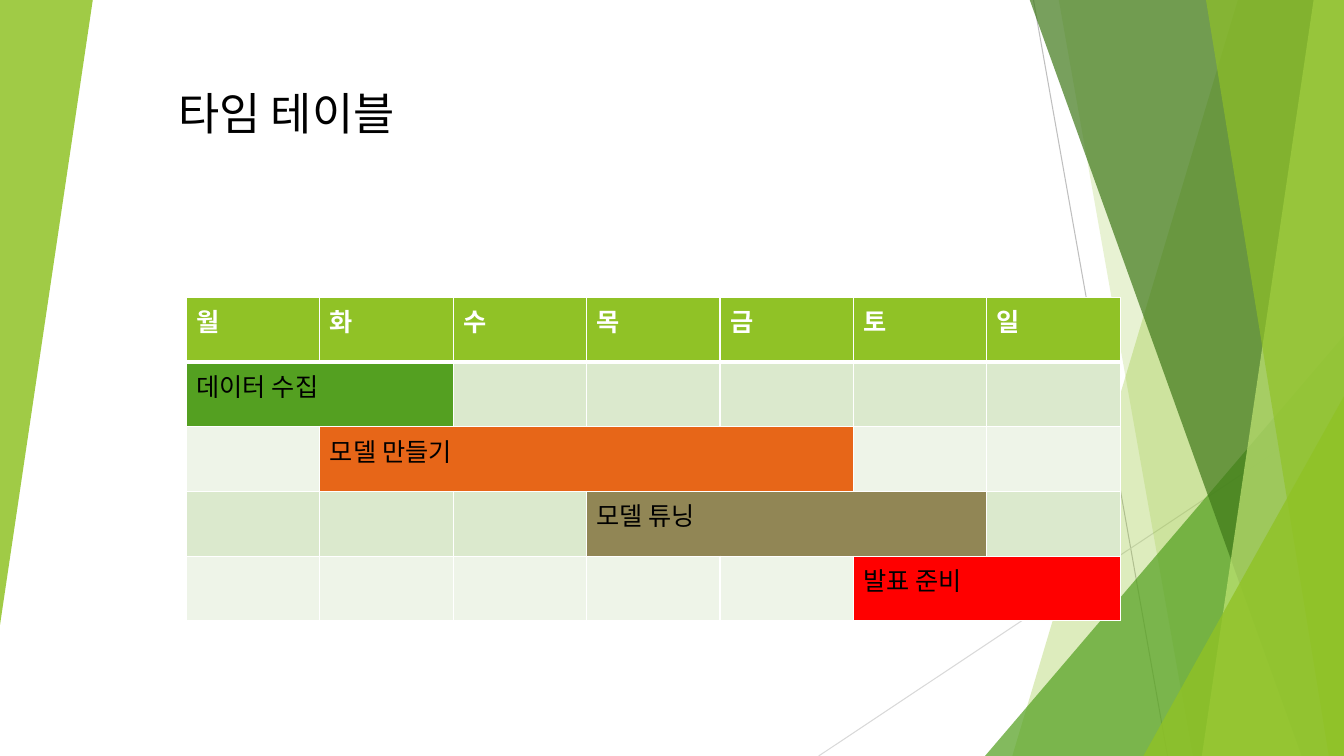
from dataclasses import dataclass

from lxml.etree import SubElement
from pptx import Presentation
from pptx.dml.color import RGBColor
from pptx.enum.shapes import MSO_CONNECTOR, MSO_SHAPE
from pptx.enum.text import MSO_ANCHOR, PP_ALIGN
from pptx.oxml.ns import qn
from pptx.util import Inches, Pt


@dataclass(frozen=True)
class Theme:
    lime: str = "90C226"
    pale_lime: str = "C0E474"
    green: str = "54A021"
    dark_green: str = "3F7819"
    orange: str = "E76618"
    olive: str = "918655"
    red: str = "FF0000"
    odd_row: str = "DBE9CD"
    even_row: str = "EEF4E8"
    steep_line: str = "BFBFBF"
    flat_line: str = "D9D9D9"
    black: str = "000000"
    white: str = "FFFFFF"
    title_font: str = "Arial"
    table_font: str = "Roboto"
    title_size: int = 32
    table_size: int = 18


THEME = Theme()
WIDTH, HEIGHT = 13.33, 7.5

TITLE = "타임 테이블"
DAYS = ["월", "화", "수", "목", "금", "토", "일"]
# task, first day, last day, colour
TASKS = [
    ("데이터 수집", "월", "화", THEME.green),
    ("모델 만들기", "화", "금", THEME.orange),
    ("모델 튜닝", "목", "토", THEME.olive),
    ("발표 준비", "토", "일", THEME.red),
]

# start, end, colour
LINES = [
    ((10.25, 0), (11.58, HEIGHT), THEME.steep_line),
    ((WIDTH, 4.03), (8.12, HEIGHT), THEME.flat_line),
]
# Back to front. Band: top-left x, bottom-left x; wedge: left, top, width, height, rotation
DECOR = [
    ("band", (12.28, 10.04), THEME.lime, 30),
    ("band", (10.5, 11.83), THEME.lime, 20),
    ("wedge", (9.77, 3.33, 3.56, 4.17, 0), THEME.green, 72),
    ("band", (10.21, 12.91), THEME.dark_green, 70),
    ("band", (13.03, 11.92), THEME.pale_lime, 70),
    ("band", (11.96, 13.18), THEME.lime, 65),
    ("wedge", (11.34, 3.93, 1.99, 3.57, 0), THEME.lime, 80),
    ("wedge", (0, 0, 0.92, 6.2, 180), THEME.lime, 85),
]

TABLE_BOX = (1.85, 2.95, 9.26, 3.21)


def rgb(color):
    return RGBColor.from_string(color)


def add_line(slide, start, end, color):
    line = slide.shapes.add_connector(
        MSO_CONNECTOR.STRAIGHT, *map(Inches, start + end))
    line.line.color.rgb = rgb(color)
    line.line.width = Pt(0.75)
    SubElement(line._element.spPr, qn("a:effectLst"))


def add_band(slide, top_x, bottom_x):
    """Add a full-height band from a slanted left edge to the slide's right edge."""
    corners = [(WIDTH, -0.01), (WIDTH, HEIGHT), (bottom_x, HEIGHT)]
    builder = slide.shapes.build_freeform(Inches(top_x), Inches(-0.01))
    builder.add_line_segments([(Inches(x), Inches(y)) for x, y in corners])
    return builder.convert_to_shape()


def add_wedge(slide, left, top, width, height, rotation):
    wedge = slide.shapes.add_shape(
        MSO_SHAPE.ISOSCELES_TRIANGLE, *map(Inches, (left, top, width, height)))
    wedge.adjustments[0] = 1
    wedge.rotation = rotation
    return wedge


def paint(shape, color, opacity):
    shape.shadow.inherit = False
    shape.line.fill.background()
    shape.fill.solid()
    shape.fill.fore_color.rgb = rgb(color)
    solid = shape._element.spPr.find(qn("a:solidFill"))
    SubElement(solid[0], qn("a:alpha"), val=str(opacity * 1000))


def write(paragraph, text, font, size, color, bold=False):
    run = paragraph.add_run()
    run.text = text
    run.font.name = font
    run.font.size = Pt(size)
    run.font.bold = bold
    run.font.color.rgb = rgb(color)


def add_title(slide):
    title = slide.shapes.title
    title.left, title.top, title.width, title.height = map(
        Inches, (1.67, 0.8, 10, 1.81))
    title.text_frame.vertical_anchor = MSO_ANCHOR.TOP
    paragraph = title.text_frame.paragraphs[0]
    paragraph.alignment = PP_ALIGN.LEFT
    write(paragraph, TITLE, THEME.title_font, THEME.title_size, THEME.black)


def style_cell(cell, color, top=1, bottom=1):
    """Fill a cell and give it white borders; top and bottom are widths in points."""
    properties = cell._tc.get_or_add_tcPr()
    for side, width in (("L", 1), ("R", 1), ("T", top), ("B", bottom)):
        border = SubElement(properties, qn(f"a:ln{side}"), w=str(Pt(width)))
        solid = SubElement(border, qn("a:solidFill"))
        SubElement(solid, qn("a:srgbClr"), val=THEME.white)
    cell.fill.solid()
    cell.fill.fore_color.rgb = rgb(color)


def add_timetable(slide):
    table = slide.shapes.add_table(
        len(TASKS) + 1, len(DAYS), *map(Inches, TABLE_BOX)).table

    for column, day in enumerate(DAYS):
        header = table.cell(0, column)
        style_cell(header, THEME.lime, bottom=3)
        write(header.text_frame.paragraphs[0], day, THEME.table_font,
              THEME.table_size, THEME.white, bold=True)

    for row, (task, first_day, last_day, color) in enumerate(TASKS, start=1):
        first, last = DAYS.index(first_day), DAYS.index(last_day)
        row_color = THEME.odd_row if row % 2 else THEME.even_row
        for column in range(len(DAYS)):
            style_cell(table.cell(row, column),
                       color if first <= column <= last else row_color,
                       top=3 if row == 1 else 1)
        bar = table.cell(row, first)
        bar.merge(table.cell(row, last))
        write(bar.text_frame.paragraphs[0], task, THEME.table_font,
              THEME.table_size, THEME.black)


def main():
    deck = Presentation()
    deck.slide_width, deck.slide_height = Inches(WIDTH), Inches(HEIGHT)
    slide = deck.slides.add_slide(deck.slide_layouts[5])

    for start, end, color in LINES:
        add_line(slide, start, end, color)
    add_outline = {"band": add_band, "wedge": add_wedge}
    for kind, geometry, color, opacity in DECOR:
        paint(add_outline[kind](slide, *geometry), color, opacity)
    add_title(slide)
    add_timetable(slide)
    deck.save("out.pptx")


if __name__ == "__main__":
    main()
